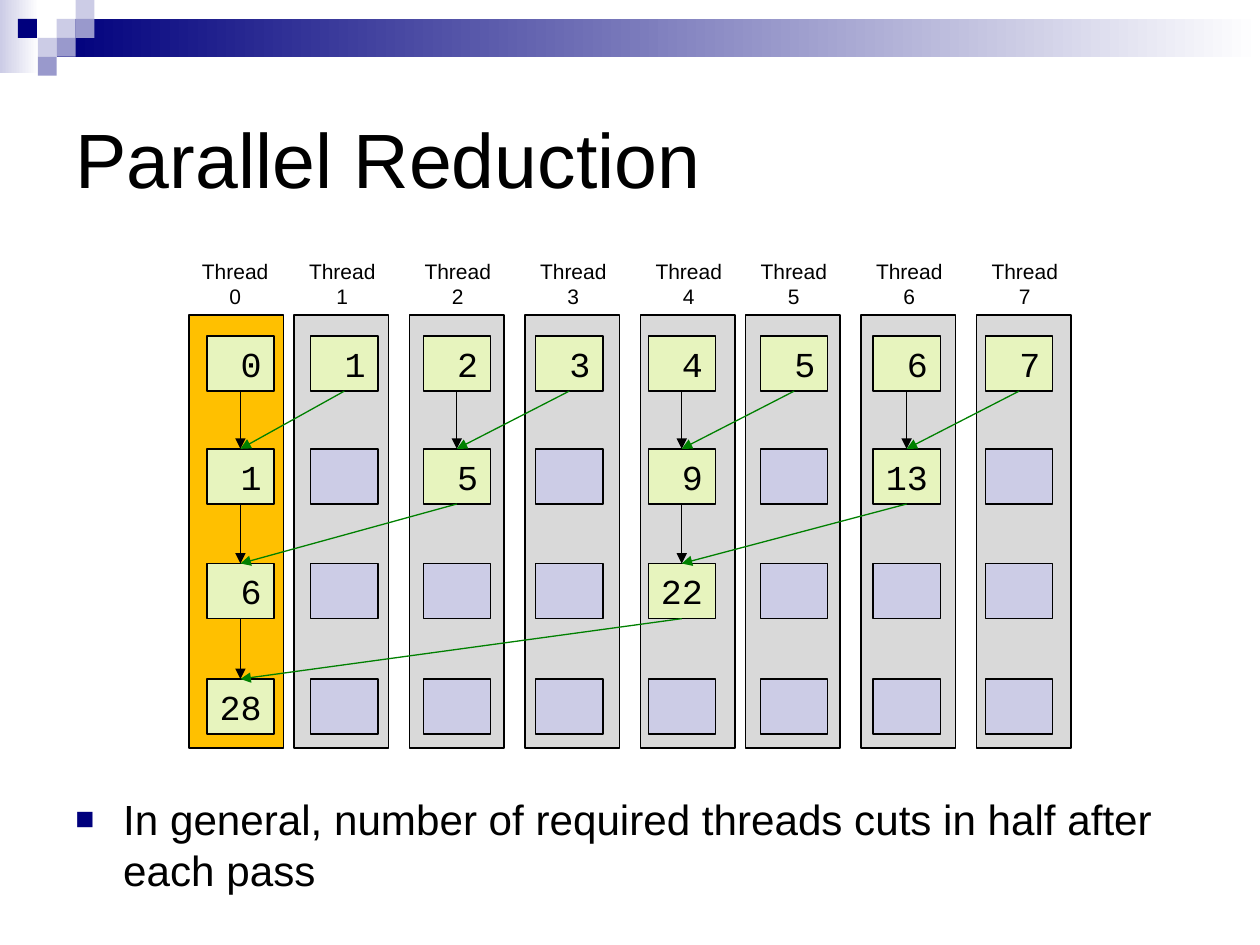
from lxml import etree
from pptx import Presentation
from pptx import util as u
from pptx.dml.color import RGBColor
from pptx.enum import shapes, text
from pptx.oxml import ns

BLACK = RGBColor(0x00, 0x00, 0x00)
WHITE = RGBColor(0xFF, 0xFF, 0xFF)
NAVY = RGBColor(0x00, 0x00, 0x7D)
LAVENDER = RGBColor(0xCC, 0xCC, 0xE6)
VIOLET = RGBColor(0x99, 0x99, 0xCC)
GRAY = RGBColor(0xD9, 0xD9, 0xD9)
ORANGE = RGBColor(0xFF, 0xC0, 0x00)
LIME = RGBColor(0xE7, 0xF4, 0xBE)
GREEN = RGBColor(0x00, 0x80, 0x00)

COLUMNS, ROWS = 120, 90
SQUARE = 1.8
THREADS = 8
LANE_LEFTS = (18, 28, 39, 50, 61, 71, 82, 93)
CELL_LEFTS = [19.7] + [29.6 + 10.71 * step for step in range(THREADS - 1)]
CELL_TOPS = (32, 42.75, 53.67, 64.67)
SQUARES = (
    (3, 1, LAVENDER), (4, 0, LAVENDER), (4, 1, VIOLET), (2, 2, LAVENDER),
    (0.95, 1, NAVY), (3, 2, VIOLET), (2, 3, VIOLET),
)


class SlideBuilder:
    """Draws styled elements on one slide, placed on a 120 by 90 grid."""

    def __init__(self, deck):
        self.column = deck.slide_width / COLUMNS
        self.row = deck.slide_height / ROWS
        self.slide = deck.slides.add_slide(deck.slide_layouts[5])

    def place(self, left, top, width, height):
        return (round(left * self.column), round(top * self.row),
                round(width * self.column), round(height * self.row))

    def set_text(self, box, lines, size, align, font="Arial"):
        frame = box.text_frame
        frame.word_wrap = True
        frame.text = "\n".join(lines)
        for para in frame.paragraphs:
            para.alignment = align
            para.font.size = u.Pt(size)
            para.font.name = font
            para.font.color.rgb = BLACK
        return frame

    def title(self, words, *area):
        box = self.slide.shapes.title
        box.left, box.top, box.width, box.height = self.place(*area)
        frame = self.set_text(box, [words], 44, text.PP_ALIGN.LEFT)
        frame.vertical_anchor = text.MSO_ANCHOR.MIDDLE

    def rectangle(self, fill, *area, outlined=True):
        box = self.slide.shapes.add_shape(shapes.MSO_SHAPE.RECTANGLE, *self.place(*area))
        box.shadow.inherit = False
        box.fill.solid()
        box.fill.fore_color.rgb = fill
        if outlined:
            box.line.color.rgb = BLACK
            box.line.width = u.Pt(0.75)
        else:
            box.line.fill.background()
        return box

    def fade(self, start, *area):
        box = self.rectangle(start, *area, outlined=False)
        box.fill.gradient()
        box.fill.gradient_angle = 0
        for stop, color in zip(box.fill.gradient_stops, (start, WHITE)):
            stop.color.rgb = color

    def cell(self, value, *area):
        box = self.rectangle(LAVENDER if value is None else LIME, *area)
        if value is not None:
            frame = self.set_text(box, [str(value)], 20, text.PP_ALIGN.RIGHT, "Courier New")
            frame.vertical_anchor = text.MSO_ANCHOR.TOP
            frame.margin_left = 0
        return box

    def label(self, lines, *area):
        box = self.slide.shapes.add_textbox(*self.place(*area))
        frame = self.set_text(box, lines, 12, text.PP_ALIGN.CENTER)
        frame.margin_left = frame.margin_right = 0

    def bullet(self, words, *area):
        box = self.slide.shapes.add_textbox(*self.place(*area))
        para = self.set_text(box, [words], 24.1, text.PP_ALIGN.LEFT).paragraphs[0]
        para.space_before = u.Pt(6.5)
        properties = para._p.get_or_add_pPr()
        properties.set("marL", str(u.Inches(0.38)))
        properties.set("indent", str(-u.Inches(0.38)))
        marks = [etree.Element(ns.qn(f"a:{tag}"), **settings) for tag, settings in (
            ("buClr", {}), ("buSzPct", {"val": "75000"}),
            ("buFont", {"typeface": "Arial"}), ("buChar", {"char": "■"}),
        )]
        etree.SubElement(marks[0], ns.qn("a:srgbClr"), val=str(NAVY))
        position = list(properties).index(properties.find(ns.qn("a:spcBef"))) + 1
        properties[position:position] = marks

    def arrow(self, source, target, color):
        line = self.slide.shapes.add_connector(shapes.MSO_CONNECTOR.STRAIGHT, 0, 0, 0, 0)
        line.begin_connect(source, 2)
        line.end_connect(target, 0)
        line.line.color.rgb = color
        line.line.width = u.Pt(0.75)
        properties = line.element.spPr
        etree.SubElement(properties.find(ns.qn("a:ln")), ns.qn("a:tailEnd"), type="triangle")
        etree.SubElement(properties, ns.qn("a:effectLst"))


def draw_banner(page):
    page.fade(LAVENDER, 0, 0, 3.7, 7)
    page.fade(NAVY, 3 * SQUARE, SQUARE, COLUMNS - 3 * SQUARE, 2 * SQUARE)
    for across, down, color in SQUARES:
        page.rectangle(color, across * SQUARE, down * SQUARE, SQUARE, SQUARE, outlined=False)


def draw_reduction(page):
    for thread, left in enumerate(LANE_LEFTS):
        page.rectangle(GRAY if thread else ORANGE, left, 30, 9, 41.25)
        page.label(["Thread", str(thread)], left + (0.2 if thread else 0), 24, 8.8, 6)

    values = list(range(THREADS))
    grid = []
    for level, top in enumerate(CELL_TOPS):
        stride = 2 ** level
        if level:
            for thread in range(0, THREADS, stride):
                values[thread] += values[thread + stride // 2]
        grid.append([
            page.cell(None if thread % stride else values[thread], left, top, 6.4, 5.25)
            for thread, left in enumerate(CELL_LEFTS)
        ])

    for level in range(1, len(grid)):
        stride = 2 ** level
        for thread in range(0, THREADS, stride):
            target = grid[level][thread]
            page.arrow(grid[level - 1][thread], target, BLACK)
            page.arrow(grid[level - 1][thread + stride // 2], target, GREEN)


def main():
    deck = Presentation()
    deck.slide_width, deck.slide_height = u.Inches(10), u.Inches(7.5)
    page = SlideBuilder(deck)
    draw_banner(page)
    page.title("Parallel Reduction", 6, 6, 108, 18)
    draw_reduction(page)
    page.bullet("In general, number of required threads cuts in half after each pass",
                6, 75, 108, 11)
    deck.save("out.pptx")


if __name__ == "__main__":
    main()
